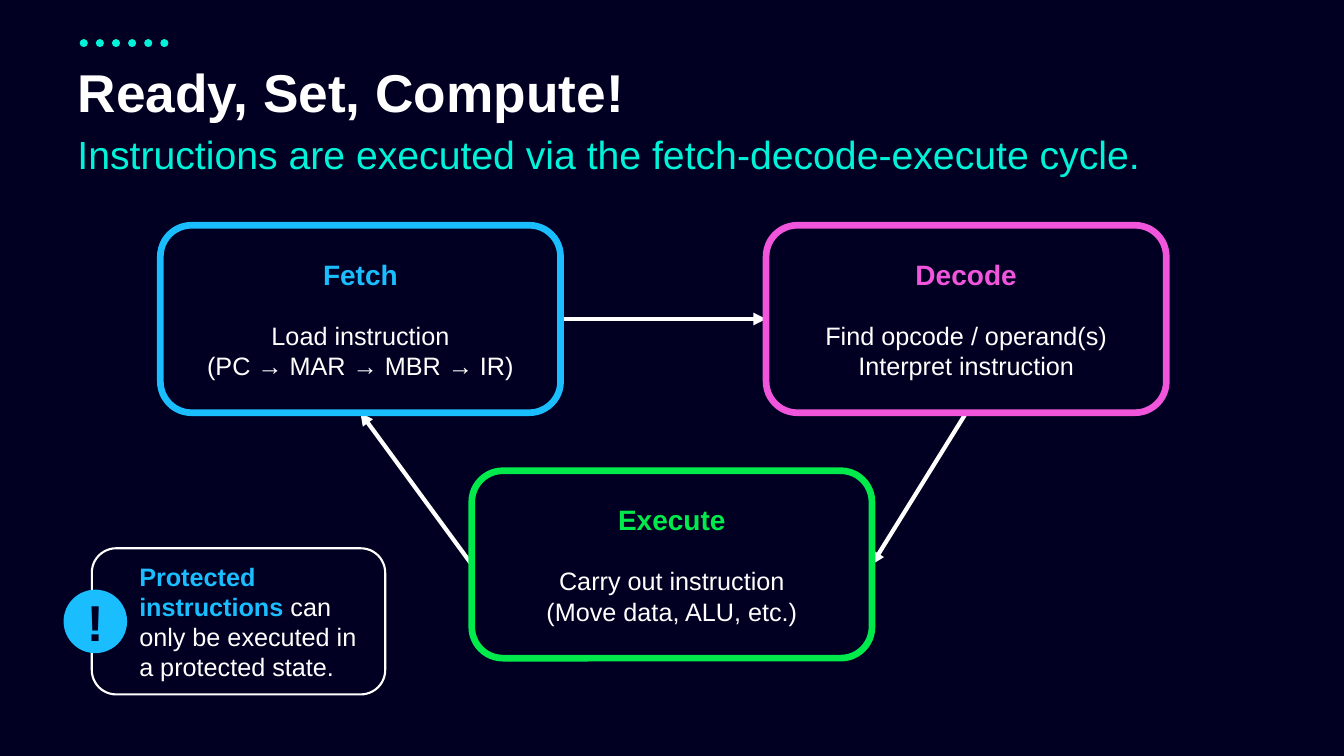
from dataclasses import dataclass

from lxml.etree import SubElement
from pptx import Presentation
from pptx.dml.color import RGBColor
from pptx.enum.dml import MSO_LINE
from pptx.enum.shapes import MSO_CONNECTOR, MSO_SHAPE as SHAPE
from pptx.enum.text import MSO_ANCHOR as ANCHOR, MSO_AUTO_SIZE, PP_ALIGN as ALIGN
from pptx.oxml.ns import qn
from pptx.shapes.autoshape import Shape
from pptx.shapes.connector import Connector
from pptx.slide import Slide
from pptx.text.text import TextFrame
from pptx.util import Inches, Pt

NAVY = RGBColor(0x01, 0x00, 0x22)
WHITE = RGBColor(0xFF, 0xFF, 0xFF)
TEAL = RGBColor(0x00, 0xF3, 0xD8)
BLUE = RGBColor(0x1A, 0xBE, 0xFF)
PINK = RGBColor(0xF1, 0x55, 0xDC)
GREEN = RGBColor(0x00, 0xEB, 0x4B)

FONT = "Arial"
WIDTH, HEIGHT = Inches(13.33), Inches(7.5)
TOP, LEFT, BOTTOM, RIGHT = range(4)


@dataclass(frozen=True)
class Area:
    """Left, top, width and height as percentages of the slide."""
    x: float
    y: float
    w: float
    h: float

    def emu(self) -> tuple[int, int, int, int]:
        return (int(WIDTH * self.x / 100), int(HEIGHT * self.y / 100),
                int(WIDTH * self.w / 100), int(HEIGHT * self.h / 100))


@dataclass(frozen=True)
class Run:
    text: str
    size: float
    color: RGBColor
    bold: bool = False


@dataclass(frozen=True)
class Stage:
    name: str
    details: tuple[str, str]
    color: RGBColor
    x: float
    y: float


@dataclass(frozen=True)
class Arrow:
    start: str
    start_side: int
    end: str
    end_side: int


STAGE_W, STAGE_H = 29.78, 24.8
TITLE_AREA = Area(5.03, 8.13, 88.22, 9.07)
SUBTITLE_AREA = Area(5.03, 17.33, 88.22, 10.4)
DOTS_AREA = Area(6.23, 5.73, 6.3, 0)
NOTE_AREA = Area(6.83, 72.53, 21.83, 19.33)
BADGE_AREA = Area(4.73, 78, 4.73, 8.4)

STAGES = (
    Stage("Fetch", ("Load instruction", "(PC → MAR → MBR → IR)"), BLUE, 11.93, 29.8),
    Stage("Decode", ("Find opcode / operand(s)", "Interpret instruction"), PINK, 57, 29.8),
    Stage("Execute", ("Carry out instruction", "(Move data, ALU, etc.)"), GREEN, 35.1, 62.27),
)
ARROWS = (
    Arrow("Fetch", RIGHT, "Decode", LEFT),
    Arrow("Decode", BOTTOM, "Execute", RIGHT),
    Arrow("Execute", LEFT, "Fetch", BOTTOM),
)


def set_frame(tf: TextFrame, anchor: ANCHOR, left: float = 0.1, top: float = 0.05,
              right: float = 0.1, bottom: float = 0.05) -> None:
    tf.word_wrap = True
    tf.auto_size = MSO_AUTO_SIZE.NONE
    tf.vertical_anchor = anchor
    tf.margin_left, tf.margin_top = Inches(left), Inches(top)
    tf.margin_right, tf.margin_bottom = Inches(right), Inches(bottom)


def write(tf: TextFrame, lines: list[list[Run]], align: ALIGN, spacing: float = 1.0) -> None:
    for i, runs in enumerate(lines):
        p = tf.add_paragraph() if i else tf.paragraphs[0]
        p.alignment = align
        p.line_spacing = spacing
        for run in runs:
            r = p.add_run()
            r.text = run.text
            r.font.name = FONT
            r.font.size = Pt(run.size)
            r.font.bold = run.bold
            r.font.color.rgb = run.color


def add_panel(s: Slide, kind: SHAPE, area: Area, fill: RGBColor,
              line: RGBColor | None = None, weight: float = 0) -> Shape:
    sp = s.shapes.add_shape(kind, *area.emu())
    sp.shadow.inherit = False
    sp.fill.solid()
    sp.fill.fore_color.rgb = fill
    if line is None:
        sp.line.fill.background()
    else:
        sp.line.color.rgb = line
        sp.line.width = Pt(weight)
    return sp


def add_line(s: Slide, color: RGBColor, weight: float, area: Area = Area(0, 0, 0, 0)) -> Connector:
    x, y, w, h = area.emu()
    c = s.shapes.add_connector(MSO_CONNECTOR.STRAIGHT, x, y, x + w, y + h)
    c.line.color.rgb = color
    c.line.width = Pt(weight)
    SubElement(c.element.spPr, qn("a:effectLst"))
    return c


def add_headings(s: Slide) -> None:
    dots = add_line(s, TEAL, 5.75, DOTS_AREA)
    dots.line.dash_style = MSO_LINE.ROUND_DOT
    dots.element.spPr.find(qn("a:ln")).set("cap", "rnd")

    title = s.shapes.title
    title.left, title.top, title.width, title.height = TITLE_AREA.emu()
    set_frame(title.text_frame, ANCHOR.MIDDLE)
    write(title.text_frame, [[Run("Ready, Set, Compute!", 38, WHITE, True)]], ALIGN.LEFT, 0.9)

    tf = s.shapes.add_textbox(*SUBTITLE_AREA.emu()).text_frame
    set_frame(tf, ANCHOR.TOP, bottom=0.3)
    subtitle = "Instructions are executed via the fetch-decode-execute cycle."
    write(tf, [[Run(subtitle, 28, TEAL)]], ALIGN.LEFT, 0.9)


def add_stage(s: Slide, stage: Stage) -> Shape:
    area = Area(stage.x, stage.y, STAGE_W, STAGE_H)
    sp = add_panel(s, SHAPE.ROUNDED_RECTANGLE, area, NAVY, stage.color, 4.75)
    tf = sp.text_frame
    set_frame(tf, ANCHOR.MIDDLE, top=0.2, bottom=0.2)
    lines = [[Run(stage.name, 20, stage.color, True)]]
    lines += [[Run(detail, 18, WHITE)] for detail in stage.details]
    write(tf, lines, ALIGN.CENTER)
    tf.paragraphs[1].space_before = Pt(21)
    return sp


def add_cycle(s: Slide) -> None:
    boxes = {stage.name: add_stage(s, stage) for stage in STAGES}
    for arrow in ARROWS:
        c = add_line(s, WHITE, 3)
        c.begin_connect(boxes[arrow.start], arrow.start_side)
        c.end_connect(boxes[arrow.end], arrow.end_side)
        SubElement(c.element.spPr.find(qn("a:ln")), qn("a:tailEnd"), type="triangle")
        boxes[STAGES[0].name].element.addprevious(c.element)


def add_note(s: Slide) -> None:
    note = add_panel(s, SHAPE.ROUNDED_RECTANGLE, NOTE_AREA, NAVY, WHITE, 1.5)
    set_frame(note.text_frame, ANCHOR.MIDDLE, left=0.4, right=0.2)
    runs = [Run("Protected instructions ", 18, BLUE, True),
            Run("can only be executed in a protected state.", 18, WHITE)]
    write(note.text_frame, [runs], ALIGN.LEFT)

    badge = add_panel(s, SHAPE.OVAL, BADGE_AREA, BLUE)
    set_frame(badge.text_frame, ANCHOR.MIDDLE)
    write(badge.text_frame, [[Run("!", 36, NAVY, True)]], ALIGN.CENTER)


def main() -> None:
    prs = Presentation()
    prs.slide_width, prs.slide_height = WIDTH, HEIGHT
    s = prs.slides.add_slide(prs.slide_layouts.get_by_name("Title Only"))
    s.background.fill.solid()
    s.background.fill.fore_color.rgb = NAVY
    add_headings(s)
    add_cycle(s)
    add_note(s)
    prs.save("out.pptx")


if __name__ == "__main__":
    main()
